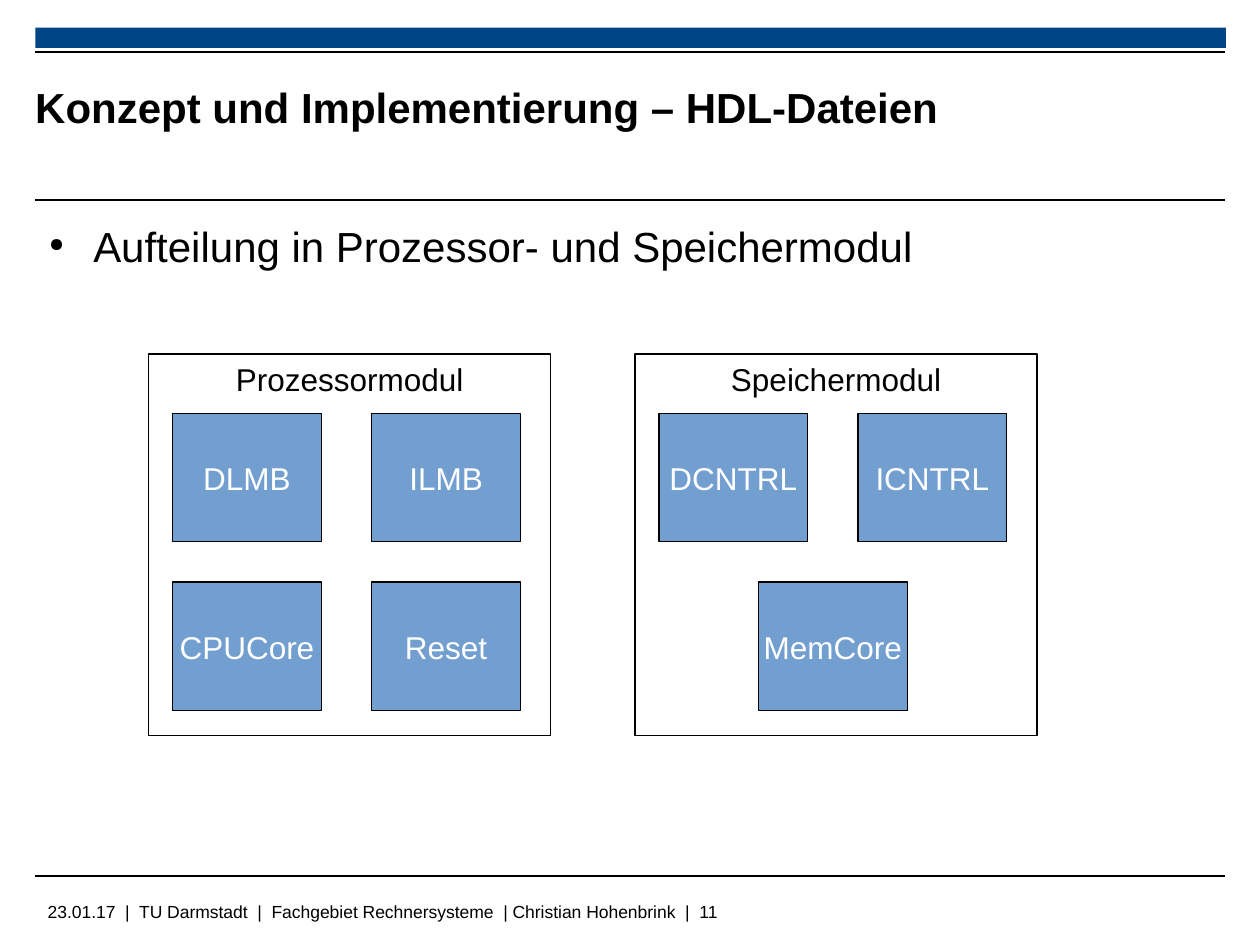
from dataclasses import dataclass

from lxml import etree
from pptx import Presentation
from pptx import util as u
from pptx.dml.color import RGBColor
from pptx.enum import shapes, text
from pptx.oxml.ns import qn

TITLE = "Konzept und Implementierung – HDL-Dateien"
BULLET = "Aufteilung in Prozessor- und Speichermodul"
FOOTER = ("23.01.17  |  TU Darmstadt  |  Fachgebiet Rechnersysteme  "
          "| Christian Hohenbrink  |  11")
MODULES = [
    ("Prozessormodul", [["DLMB", "ILMB"], ["CPUCore", "Reset"]]),
    ("Speichermodul", [["DCNTRL", "ICNTRL"], ["MemCore"]]),
]


@dataclass(frozen=True)
class Theme:
    font: str = "Arial"
    black: RGBColor = RGBColor.from_string("000000")
    white: RGBColor = RGBColor.from_string("FFFFFF")
    bar: RGBColor = RGBColor.from_string("004586")
    block: RGBColor = RGBColor.from_string("729FCF")
    heading: int = 24
    label: int = 18
    footer: int = 10
    rule: float = 1.13


THEME = Theme()
LEFT, RIGHT = 0.28, 9.72
RULES = [0.41, 1.59, 6.95]
MODULE_LEFT, MODULE_TOP, MODULE_STEP = 1.18, 2.81, 3.86
MODULE_SIZE = (3.19, 3.03)
BLOCK_SIZE = (1.18, 1.02)
BLOCK_INSET = (0.19, 0.47)
BLOCK_STEP = (1.58, 1.34)


def write(box, content, size, color, anchor=text.MSO_ANCHOR.TOP,
          align=text.PP_ALIGN.LEFT, wrap=True, margins=(0.1, 0.05)):
    frame = box.text_frame
    frame.word_wrap = wrap
    frame.vertical_anchor = anchor
    frame.margin_left = frame.margin_right = u.Inches(margins[0])
    frame.margin_top = frame.margin_bottom = u.Inches(margins[1])
    para = frame.paragraphs[0]
    para.text = content
    para.alignment = align
    para.font.name = THEME.font
    para.font.size = u.Pt(size)
    para.font.color.rgb = color
    return para


def add_text(page, area, content, size, **options):
    box = page.shapes.add_textbox(*map(u.Inches, area))
    return write(box, content, size, THEME.black, **options)


def add_rect(page, area, fill=None, outlined=True):
    box = page.shapes.add_shape(shapes.MSO_SHAPE.RECTANGLE, *map(u.Inches, area))
    box.shadow.inherit = False
    if fill is None:
        box.fill.background()
    else:
        box.fill.solid()
        box.fill.fore_color.rgb = fill
    if outlined:
        box.line.color.rgb = THEME.black
        box.line.width = u.Pt(0)
    else:
        box.line.fill.background()
    return box


def add_rule(page, y):
    rule = page.shapes.add_connector(
        shapes.MSO_CONNECTOR.STRAIGHT, *map(u.Inches, (LEFT, y, RIGHT, y)))
    rule.line.color.rgb = THEME.black
    rule.line.width = u.Pt(THEME.rule)
    etree.SubElement(rule._element.spPr, qn("a:effectLst"))


def add_bullet(page):
    box = page.shapes.add_textbox(*map(u.Inches, (0.27, 1.75, 9.42, 5.12)))
    para = box.text_frame.paragraphs[0]
    properties = para._p.get_or_add_pPr()
    properties.set("marL", str(u.Inches(0.47)))
    properties.set("indent", str(u.Inches(-0.35)))
    color = etree.SubElement(properties, qn("a:buClr"))
    etree.SubElement(color, qn("a:srgbClr"), val=str(THEME.black))
    etree.SubElement(properties, qn("a:buSzPct"), val="45000")
    etree.SubElement(properties, qn("a:buChar"), char="●")
    write(box, BULLET, THEME.heading, THEME.black, margins=(0, 0))


def add_module(page, left, name, rows):
    centered = dict(align=text.PP_ALIGN.CENTER, wrap=False)
    module = add_rect(page, (left, MODULE_TOP, *MODULE_SIZE))
    write(module, name, THEME.label, THEME.black, **centered)
    columns = max(map(len, rows))
    for row, names in enumerate(rows):
        for column, block_name in enumerate(names):
            slot = column + (columns - len(names)) / 2
            x = left + BLOCK_INSET[0] + slot * BLOCK_STEP[0]
            y = MODULE_TOP + BLOCK_INSET[1] + row * BLOCK_STEP[1]
            block = add_rect(page, (x, y, *BLOCK_SIZE), THEME.block)
            write(block, block_name, THEME.label, THEME.white,
                  anchor=text.MSO_ANCHOR.MIDDLE, **centered)


def main():
    deck = Presentation()
    deck.slide_width, deck.slide_height = u.Inches(10), u.Inches(7.5)
    page = deck.slides.add_slide(deck.slide_layouts[6])
    add_rect(page, (LEFT, 0.22, 9.45, 0.16), THEME.bar, outlined=False)
    for y in RULES:
        add_rule(page, y)
    add_text(page, (LEFT, 7.1, 7.99, 0.25), FOOTER, THEME.footer)
    title = add_text(page, (LEFT, 0.35, 7.26, 1), TITLE, THEME.heading,
                     anchor=text.MSO_ANCHOR.MIDDLE, margins=(0, 0))
    title.font.bold = True
    for index, (name, rows) in enumerate(MODULES):
        add_module(page, MODULE_LEFT + index * MODULE_STEP, name, rows)
    add_bullet(page)
    deck.save("out.pptx")


if __name__ == "__main__":
    main()
